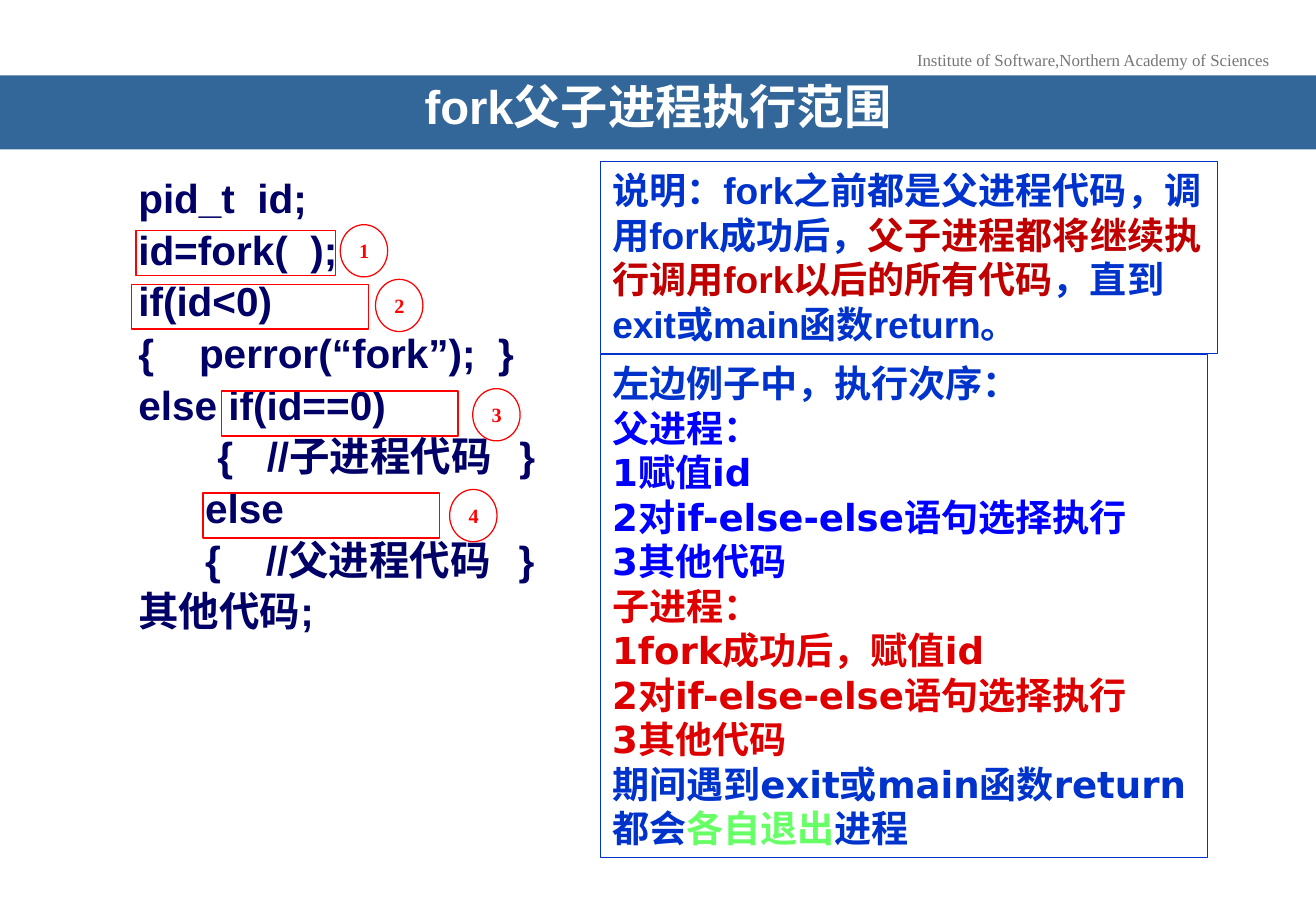
from pptx import Presentation
from pptx.dml.color import RGBColor
from pptx.enum.shapes import MSO_SHAPE as Shape
from pptx.enum.text import MSO_ANCHOR as Anchor, PP_ALIGN as Align
from pptx.util import Inches, Pt

BLUE, RED, PURE_BLUE, DARK_RED = "0033CC", "FF0000", "0000FF", "DE0000"


def add_box(kind, left, top, width, height, fill=None, line=None):
    box = page.shapes.add_shape(
        kind, Inches(left), Inches(top), Inches(width), Inches(height))
    box.shadow.inherit = False
    if fill:
        box.fill.solid()
        box.fill.fore_color.rgb = RGBColor.from_string(fill)
    else:
        box.fill.background()
    if line:
        box.line.color.rgb = RGBColor.from_string(line)
        box.line.width = Pt(0.75)
    else:
        box.line.fill.background()
    return box


def write(box, lines, font, size, bold=True, align=Align.LEFT, anchor=Anchor.TOP):
    frame = box.text_frame
    frame.word_wrap = True
    frame.vertical_anchor = anchor
    for number, spans in enumerate(lines):
        para = frame.add_paragraph() if number else frame.paragraphs[0]
        para.alignment = align
        para.font.name = font
        para.font.size = Pt(size)
        para.font.bold = bold
        for text, color in spans:
            span = para.add_run()
            span.text = text
            span.font.color.rgb = RGBColor.from_string(color)
    return frame


deck = Presentation()
deck.slide_width = Inches(10.83)
deck.slide_height = Inches(7.5)
page = deck.slides.add_slide(deck.slide_layouts[6])

institute = page.shapes.add_textbox(Inches(7.46), Inches(0.36), Inches(3.07), Inches(0.27))
institute_frame = write(
    institute, [[("Institute of Software,Northern Academy of Sciences", "777777")]],
    "Times New Roman", 10, bold=False, align=Align.CENTER)
institute_frame.margin_left = institute_frame.margin_right = 0
institute_frame.word_wrap = False

title = add_box(Shape.RECTANGLE, 0, 0.62, 10.83, 0.61, fill="336699")
title_frame = write(title, [[("fork父子进程执行范围", "FFFFFF")]], "Arial", 28,
                    align=Align.CENTER, anchor=Anchor.MIDDLE)
title_frame.paragraphs[0].line_spacing = 0.7

code_lines = [
    ("pid_t  id;", 0),
    ("id=fork(  );", 0),
    ("if(id<0)", 0),
    ("{    perror(“fork”);  }", 0),
    ("else if(id==0)", 0),
    ("{   //子进程代码   }", 0.65),
    ("else", 0.55),
    ("{    //父进程代码   }", 0.55),
    ("其他代码;", 0),
]
code = page.shapes.add_textbox(Inches(1.04), Inches(1.42), Inches(9.13), Inches(5.58))
code_frame = write(code, [[(text, "000066")] for text, indent in code_lines], "Arial", 24)
for para, (text, indent) in zip(code_frame.paragraphs, code_lines):
    para.line_spacing = 0.9
    para.space_before = Pt(4.7)
    para._p.get_or_add_pPr().set("marL", str(Inches(indent)))

explanation = add_box(Shape.RECTANGLE, 4.94, 1.33, 5.08, 1.58, line=BLUE)
write(explanation, [[
    ("说明：fork之前都是父进程代码，调用fork成功后，", BLUE),
    ("父子进程都将继续执行调用fork以后的所有代码", "C00000"),
    ("，直到exit或main函数return。", BLUE),
]], "Arial", 22)

shared_steps = ["2对if-else-else语句选择执行", "3其他代码"]
parent_steps = ["父进程：", "1赋值id"] + shared_steps
child_steps = ["子进程：", "1fork成功后，赋值id"] + shared_steps
order = add_box(Shape.RECTANGLE, 4.94, 2.92, 5, 4.14, line=BLUE)
write(order, [
    [("左边例子中，执行次序：", BLUE)],
    *[[(step, PURE_BLUE)] for step in parent_steps],
    *[[(step, DARK_RED)] for step in child_steps],
    [("期间遇到exit或main函数return都会", BLUE), ("各自退出", "66FF66"), ("进程", BLUE)],
], "DejaVu Sans", 22)

markers = [
    ("1", 1.12, 1.9, 1.64, 2.8, 1.85),
    ("2", 1.08, 2.34, 1.95, 3.09, 2.3),
    ("4", 1.67, 4.06, 1.95, 3.7, 4.03),
    ("3", 1.82, 3.22, 1.95, 3.89, 3.2),
]
for number, left, top, width, circle_left, circle_top in markers:
    add_box(Shape.RECTANGLE, left, top, width, 0.37, line=RED)
    circle = add_box(Shape.OVAL, circle_left, circle_top, 0.39, 0.43, line=RED)
    write(circle, [[(number, RED)]], "Times New Roman", 12,
          align=Align.CENTER, anchor=Anchor.MIDDLE)

deck.save("out.pptx")
